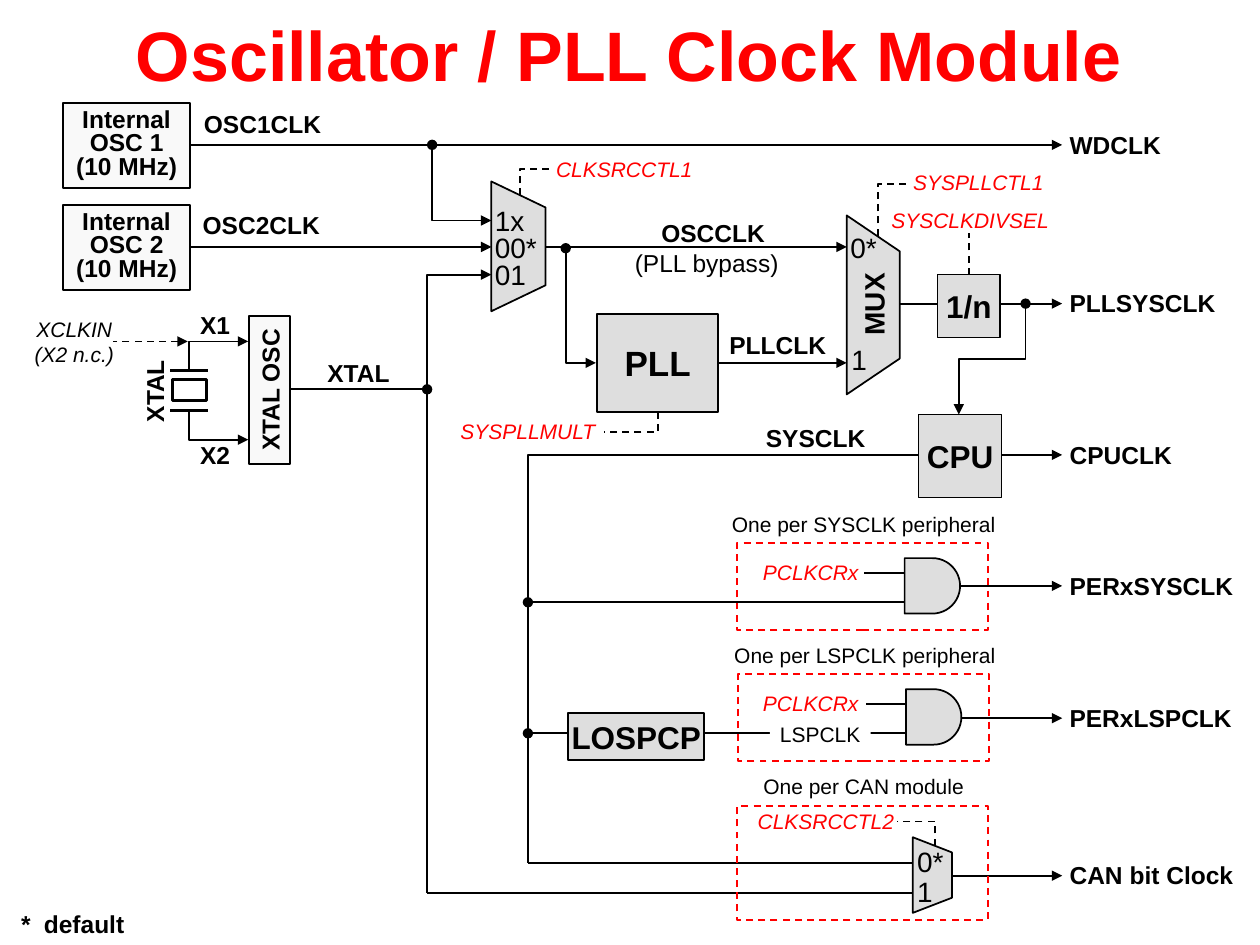
from lxml import etree
from pptx import Presentation
from pptx.dml.color import RGBColor
from pptx.enum.dml import MSO_LINE
from pptx.enum.shapes import MSO_CONNECTOR, MSO_SHAPE
from pptx.enum.text import MSO_ANCHOR, PP_ALIGN
from pptx.oxml.ns import qn
from pptx.util import Inches, Pt

LEFT, CENTER = PP_ALIGN.LEFT, PP_ALIGN.CENTER
TOP, MIDDLE = MSO_ANCHOR.TOP, MSO_ANCHOR.MIDDLE
RECT, GATE, MUX = MSO_SHAPE.RECTANGLE, MSO_SHAPE.FLOWCHART_DELAY, MSO_SHAPE.FLOWCHART_MANUAL_OPERATION
STRAIGHT, DASH = MSO_CONNECTOR.STRAIGHT, MSO_LINE.DASH
COLORS = {"black": "000000", "red": "FF0000", "gray": "DEDEDE", "pale": "F9F9F9", "white": "FFFFFF"}

TITLE = "Oscillator / PLL Clock Module"
OUT_X, BUS_X, XTAL_X = 8.43, 4.19, 3.39

# name, wire start, wire height, label width
OUTPUTS = [
    ("WDCLK", 1.5, 1.15, 0.93),
    ("PLLSYSCLK", 7.14, 2.41, 1.37),
    ("CPUCLK", 7.93, 3.61, 1.02),
    ("PERxSYSCLK", 7.63, 4.65, 1.51),
    ("PERxLSPCLK", 7.63, 5.7, 1.5),
    ("CAN bit Clock", 7.56, 6.95, 1.51),
]
ARROWS = [
    [(1.5, 1.96), (3.9, 1.96)],
    [(4.23, 1.96), (6.72, 1.96)],
    [(5.69, 2.88), (6.72, 2.88)],
    [(1.5, 2.94), (1.5, 2.71), (1.97, 2.71)],
    [(1.5, 3.26), (1.5, 3.49), (1.97, 3.49)],
    [(2.3, 3.09), (XTAL_X, 3.09), (XTAL_X, 2.18), (3.9, 2.18)],
]
BRANCHES = [
    [(3.43, 1.15), (3.43, 1.75), (3.9, 1.75)],
    [(4.49, 1.97), (4.49, 2.88), (4.73, 2.88)],
    [(8.14, 2.41), (8.14, 2.85), (7.61, 2.85), (7.61, 3.29)],
]
PLAIN_WIRES = [
    [(7.29, 3.61), (BUS_X, 3.61), (BUS_X, 6.85)],
    [(7.24, 6.85), (BUS_X, 6.85)],
    [(7.25, 7.09), (XTAL_X, 7.09)],
]
CONTROL_WIRES = [
    [(7.69, 2.18), (7.69, 1.85)],
    [(5.22, 3.27), (5.22, 3.43), (4.79, 3.43)],
    [(6.97, 1.87), (6.97, 1.46), (7.23, 1.46)],
    [(4.13, 1.55), (4.13, 1.34), (4.39, 1.34)],
    [(7.42, 6.71), (7.42, 6.52), (7.12, 6.52)],
]
OSCILLATORS = [("Internal\nOSC 1\n(10 MHz)", 0.82), ("Internal\nOSC 2\n(10 MHz)", 1.63)]
BLOCKS = [
    ("PLL", (4.74, 2.49, 0.96, 0.78), 20),
    ("1/n", (7.44, 2.18, 0.5, 0.5), 18),
    ("CPU", (7.29, 3.29, 0.66, 0.66), 18),
    ("LOSPCP", (4.51, 5.66, 1.08, 0.37), 18),
]
MUXES = [(3.6, 1.74, 1.03, 0.43), (6.22, 2.21, 1.42, 0.42), (7.1, 6.79, 0.6, 0.31)]
GATES = [("One per SYSCLK peripheral", 4.31, 5.85), ("One per LSPCLK peripheral", 5.35, 5.86)]
SIGNALS = [
    ("OSC1CLK", (1.52, 0.82, 1.13, 0.33)),
    ("OSC2CLK", (1.51, 1.62, 1.13, 0.33)),
    ("OSCCLK", (5.15, 1.68, 1.02, 0.33)),
    ("PLLCLK", (5.69, 2.57, 0.98, 0.34)),
    ("SYSCLK", (5.98, 3.31, 1, 0.34)),
    ("XTAL", (2.5, 2.79, 0.7, 0.34)),
    ("X1", (1.49, 2.41, 0.44, 0.33)),
    ("X2", (1.49, 3.44, 0.44, 0.33)),
]
REGISTERS = [
    ("CLKSRCCTL1", (4.31, 1.19, 1.29, 0.3)),
    ("SYSPLLCTL1", (7.14, 1.3, 1.25, 0.3)),
    ("SYSCLKDIVSEL", (6.97, 1.6, 1.46, 0.3)),
    ("SYSPLLMULT", (3.55, 3.27, 1.28, 0.3)),
    ("CLKSRCCTL2", (5.91, 6.37, 1.29, 0.3)),
]
MUX_INPUTS = [
    ("1x\n00*\n01", (3.83, 1.62, 0.54, 0.75), 0.8),
    ("0*", (6.65, 1.83, 0.41, 0.32), 0.8),
    ("1", (6.66, 2.72, 0.33, 0.32), 0.8),
    ("0*\n1", (7.18, 6.68, 0.46, 0.59), 0.9),
]


def rgb(name):
    """Return a palette colour."""
    return RGBColor.from_string(COLORS[name])


def write(sp, text, size=14, bold=False, italic=False, color="black", align=LEFT, anchor=TOP, spacing=None, inset=0.1, hang=0):
    """Fill a shape with formatted paragraphs, one per line of text."""
    tf = sp.text_frame
    tf.word_wrap = False
    tf.vertical_anchor = anchor
    tf.margin_left = tf.margin_right = Inches(inset)
    for i, line in enumerate(text.split("\n")):
        p = tf.add_paragraph() if i else tf.paragraphs[0]
        p.alignment = align
        if spacing:
            p.line_spacing = spacing
        if hang:
            pPr = p._p.get_or_add_pPr()
            pPr.set("marL", str(Inches(hang)))
            pPr.set("indent", str(-Inches(hang)))
        r = p.add_run()
        r.text = line
        r.font.name, r.font.size = "Arial", Pt(size)
        r.font.bold, r.font.italic = bold, italic
        r.font.color.rgb = rgb(color)


def label(s, text, box, rotation=0, **fmt):
    """Add a text box."""
    sp = s.shapes.add_textbox(*map(Inches, box))
    sp.rotation = rotation
    write(sp, text, **fmt)


def stroke(sp, color="black", width=1, dash=False, head=None, tail=None):
    """Format an outline and its ends."""
    sp.line.color.rgb = rgb(color)
    sp.line.width = Pt(width)
    if dash:
        sp.line.dash_style = DASH
    ln = sp._element.spPr.find(qn("a:ln"))
    for tag, kind in (("a:headEnd", head), ("a:tailEnd", tail)):
        if kind:
            etree.SubElement(ln, qn(tag)).set("type", kind)


def block(s, kind, box, fill=None, line="black", rotation=0, **ends):
    """Add a preset shape."""
    sp = s.shapes.add_shape(kind, *map(Inches, box))
    sp.shadow.inherit = False
    sp.rotation = rotation
    if fill:
        sp.fill.solid()
        sp.fill.fore_color.rgb = rgb(fill)
    else:
        sp.fill.background()
    if line:
        stroke(sp, line, **ends)
    else:
        sp.line.fill.background()
    return sp


def wire(s, points, **fmt):
    """Draw a connector, or an open outline when the wire bends."""
    pts = [(Inches(x), Inches(y)) for x, y in points]
    if len(pts) == 2:
        sp = s.shapes.add_connector(STRAIGHT, *pts[0], *pts[1])
        etree.SubElement(sp._element.spPr, qn("a:effectLst"))
        sp.line.width = Pt(1)
        spPr = sp._element.spPr
        spPr.append(spPr.find(qn("a:effectLst")))
    else:
        fb = s.shapes.build_freeform(*pts[0])
        fb.add_line_segments(pts[1:], close=False)
        sp = fb.convert_to_shape()
        sp.shadow.inherit = False
        sp.fill.background()
    stroke(sp, **fmt)


def draw_wires(s):
    """Draw every clock and control line."""
    for points in ARROWS:
        wire(s, points, tail="triangle")
    for points in BRANCHES:
        wire(s, points, head="oval", tail="triangle")
    for points in PLAIN_WIRES:
        wire(s, points)
    for points in CONTROL_WIRES:
        wire(s, points, dash=True)
    wire(s, [(XTAL_X, 3.09), (XTAL_X, 7.09)], head="oval")
    wire(s, [(1.49, 2.71), (0.9, 2.71)], dash=True, head="triangle")
    for y in (2.94, 3.26):
        wire(s, [(1.35, y), (1.65, y)], width=1.5)
    for name, x, y, w in OUTPUTS:
        wire(s, [(x, y), (OUT_X, y)], tail="triangle")
        label(s, name, (8.39, y - 0.17, w, 0.34), bold=True)


def draw_blocks(s):
    """Draw oscillators, muxes, gates and function blocks."""
    block(s, RECT, (1.37, 3.01, 0.27, 0.17), width=1.5)
    xtal = block(s, RECT, (1.55, 2.93, 1.18, 0.33), "pale", rotation=270)
    write(xtal, "XTAL OSC", bold=True, align=CENTER)
    for text, y in OSCILLATORS:
        write(block(s, RECT, (0.5, y, 1.01, 0.67), "pale"), text, bold=True, align=CENTER, spacing=0.8)
    for box in MUXES:
        block(s, MUX, box, "gray", rotation=270)
    for caption, y, x in GATES:
        wire(s, [(x + 1.33, y + 0.24), (x + 1.01, y + 0.24)])
        wire(s, [(x + 1.33, y + 0.47), (BUS_X, y + 0.47)], tail="oval")
        block(s, GATE, (x + 1.33, y + 0.12, 0.44, 0.44), "gray")
        block(s, RECT, (x, y, 1.99, 0.69), line="red", dash=True)
        label(s, "PCLKCRx", (5.95, y + 0.08, 0.97, 0.3), size=12, italic=True, color="red", align=CENTER)
        label(s, caption, (x - 0.15, y - 0.26, 2.31, 0.26), size=12, align=CENTER, anchor=MIDDLE, spacing=0.8)
    block(s, RECT, (5.85, 6.4, 1.99, 0.9), line="red", dash=True)
    for text, box, size in BLOCKS:
        write(block(s, RECT, box, "gray"), text, size=size, bold=True, align=CENTER, anchor=MIDDLE, inset=0)
    lspclk = block(s, RECT, (6.11, 5.68, 0.8, 0.3), "white", line=None)
    write(lspclk, "LSPCLK", size=12, align=CENTER, inset=0.05)


def draw_labels(s):
    """Add signal, register and mux input names."""
    for text, box in SIGNALS:
        label(s, text, box, bold=True)
    for text, box in REGISTERS:
        label(s, text, box, size=12, italic=True, color="red", align=CENTER)
    for text, box, spacing in MUX_INPUTS:
        label(s, text, box, size=16, spacing=spacing)
    label(s, "XTAL", (0.87, 2.93, 0.71, 0.33), rotation=270, bold=True)
    label(s, "MUX", (6.4, 2.23, 1.07, 0.37), rotation=270, size=16, bold=True, align=CENTER)
    label(s, "XCLKIN\n(X2 n.c.)", (0.17, 2.46, 0.84, 0.5), size=12, italic=True, align=CENTER)
    label(s, "(PLL bypass)", (4.94, 1.92, 1.34, 0.33))
    label(s, "One per CAN module", (5.95, 6.13, 1.81, 0.26), size=12, align=CENTER, anchor=MIDDLE, spacing=0.8)
    label(s, "*\tdefault", (0.07, 7.21, 1.03, 0.29), bold=True, spacing=0.8, hang=0.18)


def main():
    """Build the clock module slide."""
    prs = Presentation()
    prs.slide_width, prs.slide_height = Inches(10), Inches(7.5)
    s = prs.slides.add_slide(prs.slide_layouts[5])
    title = s.shapes.title
    title.left, title.top, title.width, title.height = map(Inches, (0.03, 0.01, 9.92, 0.83))
    write(title, TITLE, size=40, bold=True, color="red", align=CENTER, anchor=MIDDLE)
    draw_wires(s)
    draw_blocks(s)
    draw_labels(s)
    prs.save("out.pptx")


if __name__ == "__main__":
    main()
